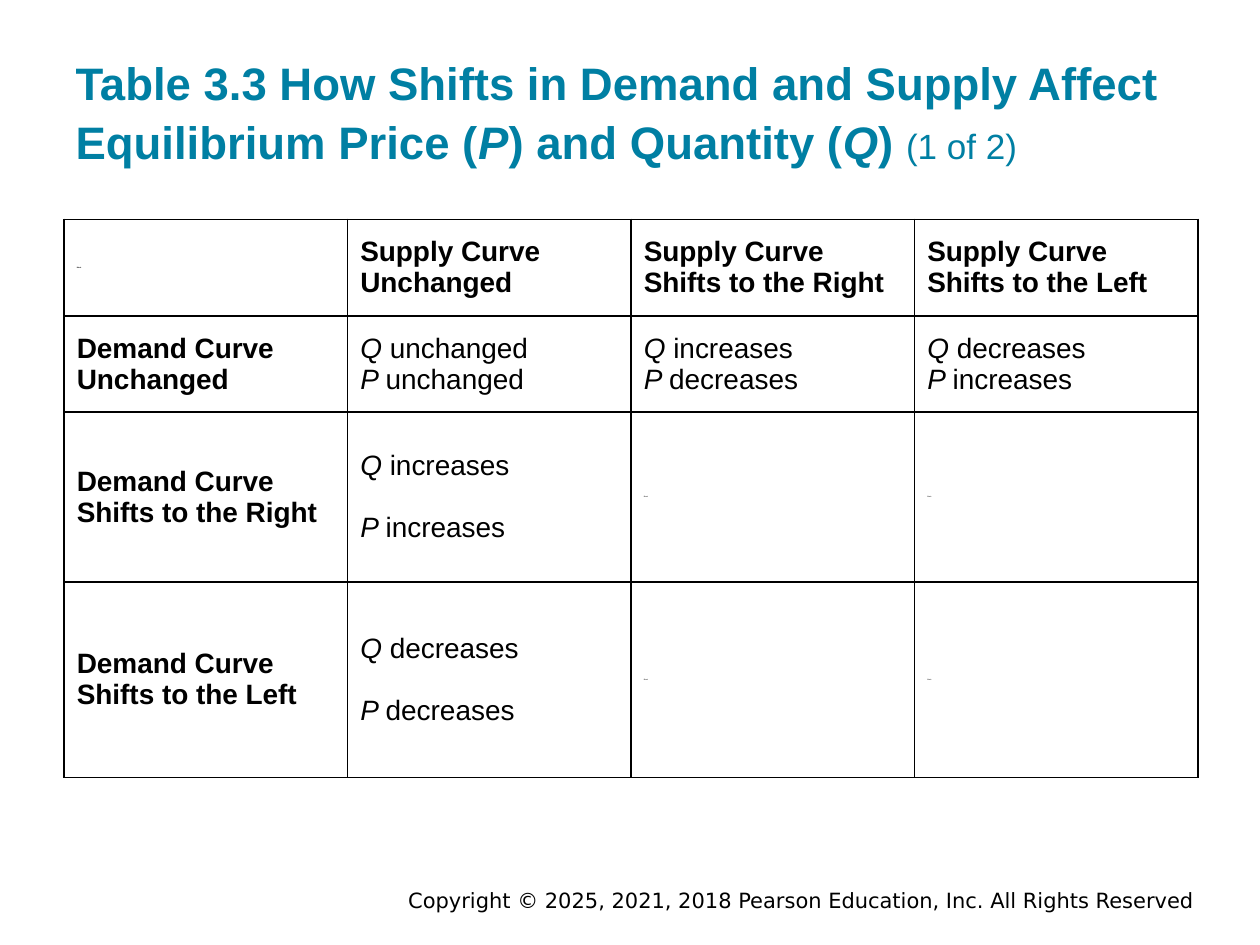
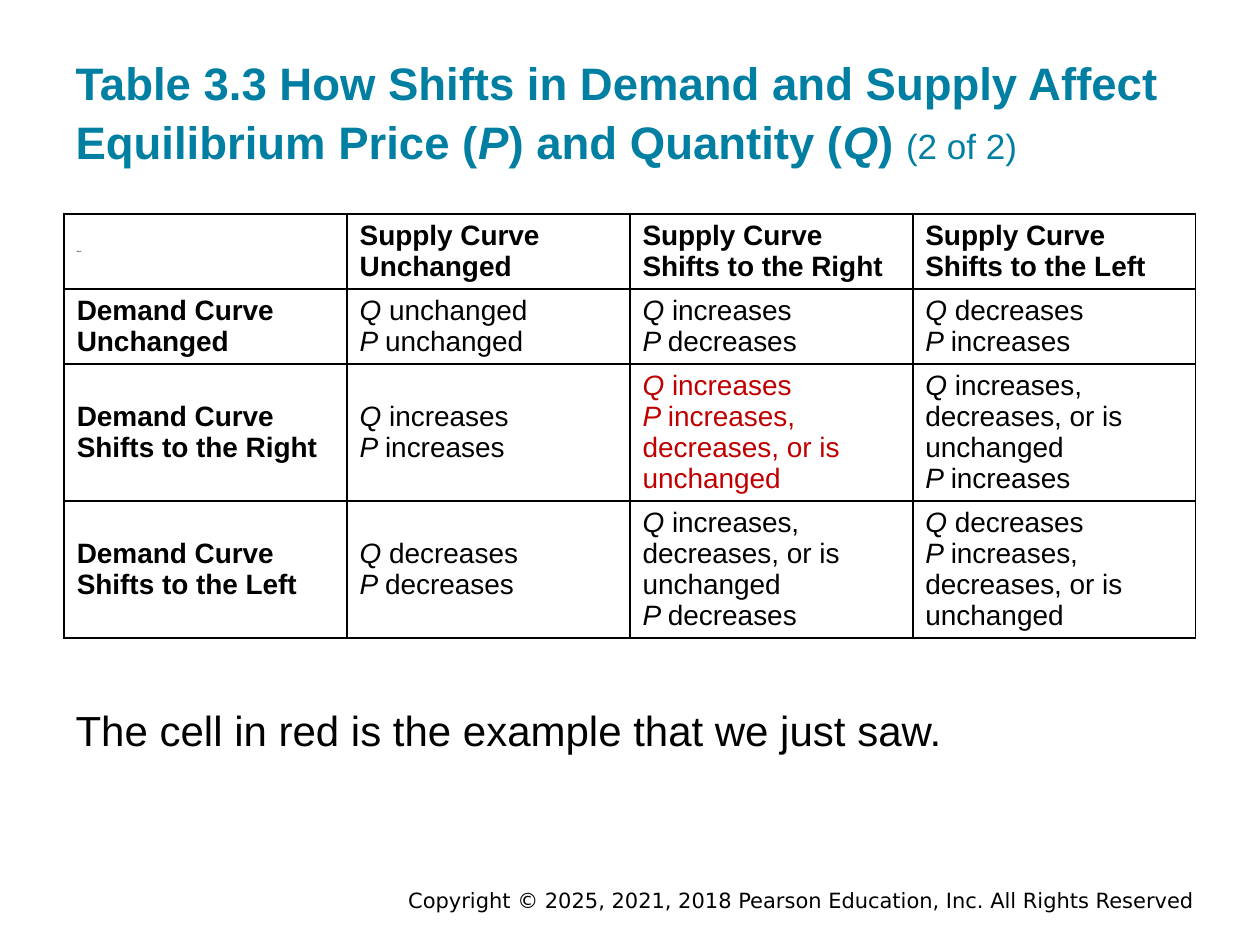
"""Build two slides on how shifts in demand and supply affect equilibrium."""
from lxml import etree
from pptx import Presentation
from pptx.dml.color import RGBColor
from pptx.enum import text
from pptx.oxml import ns
from pptx.util import Inches, Pt

TEAL, BLACK, RED, WHITE = "007FA3", "000000", "C00000", "FFFFFF"
FONT, FOOTER_FONT = "Arial", "DejaVu Sans"
TITLE = ("Table 3.3 How Shifts in Demand and Supply Affect "
         "Equilibrium Price (*P*) and Quantity (*Q*) ")
COPYRIGHT = "Copyright © 2025, 2021, 2018 Pearson Education, Inc. All Rights Reserved"
SHIFTS = ["Unchanged", "Shifts to the Right", "Shifts to the Left"]
BLANK = "Blank"
UNCERTAIN = "increases, decreases, or is unchanged"
LINE_SPACING = 1.08


def color(hex_string):
    """Turn a hex string into a colour."""
    return RGBColor.from_string(hex_string)


def style(font, size, hex_string, bold=False, italic=False, name=FONT):
    """Set every font property the slides use."""
    font.name, font.size, font.bold, font.italic = name, Pt(size), bold, italic
    font.color.rgb = color(hex_string)


def place(shape, left, top, width, height):
    """Move and size a shape, in inches."""
    shape.left, shape.top = Inches(left), Inches(top)
    shape.width, shape.height = Inches(width), Inches(height)


def prepare_frame(text_frame, anchor, margin):
    """Set wrapping, anchor and vertical margins of a text frame."""
    text_frame.word_wrap = True
    text_frame.auto_size = text.MSO_AUTO_SIZE.NONE
    text_frame.vertical_anchor = anchor
    text_frame.margin_left = text_frame.margin_right = Inches(0.1)
    text_frame.margin_top = text_frame.margin_bottom = Inches(margin)


def add_marked_runs(paragraph, marked_text, size, hex_string, bold=False):
    """Add runs, with the parts between asterisks in italics."""
    for index, part in enumerate(marked_text.split("*")):
        if part:
            run = paragraph.add_run()
            run.text = part
            style(run.font, size, hex_string, bold, italic=index % 2 == 1)


def set_title(slide, part):
    """Fill the title placeholder, ending with a lighter part number."""
    title = slide.shapes.title
    place(title, 0.5, 0.24, 9, 1.2)
    prepare_frame(title.text_frame, text.MSO_ANCHOR.BOTTOM, 0.1)
    paragraph = title.text_frame.paragraphs[0]
    paragraph.alignment = text.PP_ALIGN.LEFT
    paragraph.line_spacing = LINE_SPACING
    add_marked_runs(paragraph, TITLE, 26, TEAL, bold=True)
    add_marked_runs(paragraph, f"({part} of 2)", 20, TEAL)


def set_body(slide, sentence):
    """Put one unbulleted sentence in the body placeholder."""
    body = slide.placeholders[1]
    place(body, 0.5, 5.46, 9, 0.62)
    prepare_frame(body.text_frame, text.MSO_ANCHOR.TOP, 0.1)
    body.text_frame.text = sentence
    paragraph = body.text_frame.paragraphs[0]
    properties = paragraph._p.get_or_add_pPr()
    properties.set("marL", "0")
    properties.set("indent", "0")
    etree.SubElement(properties, ns.qn("a:buNone"))
    paragraph.space_before = Pt(0)
    paragraph.line_spacing = LINE_SPACING
    style(paragraph.runs[0].font, 24, BLACK)


def add_footer(slide):
    """Add the copyright line at the lower right."""
    footer = slide.shapes.add_textbox(Inches(1.75), Inches(7.03), Inches(7.83), Inches(0.22))
    prepare_frame(footer.text_frame, text.MSO_ANCHOR.MIDDLE, 0.05)
    footer.text_frame.text = COPYRIGHT
    paragraph = footer.text_frame.paragraphs[0]
    paragraph.alignment = text.PP_ALIGN.RIGHT
    style(paragraph.runs[0].font, 12, BLACK, name=FOOTER_FONT)


def outline_cell(cell):
    """Give a cell thin black borders and a white fill."""
    properties = cell._tc.get_or_add_tcPr()
    for side in ("lnL", "lnR", "lnT", "lnB"):
        line = etree.SubElement(properties, ns.qn(f"a:{side}"), w=str(Pt(1)))
        fill = etree.SubElement(line, ns.qn("a:solidFill"))
        etree.SubElement(fill, ns.qn("a:srgbClr"), val=BLACK)
    cell.fill.solid()
    cell.fill.fore_color.rgb = color(WHITE)


def fill_cell(cell, content, hex_string, bold, gap):
    """Write a heading, a blank mark, or a quantity and price pair."""
    outline_cell(cell)
    cell.vertical_anchor = text.MSO_ANCHOR.MIDDLE
    lines = [content] if isinstance(content, str) else [
        f"*{symbol} *{effect}" for symbol, effect in zip("QP", content)]
    for index, line in enumerate(lines):
        frame = cell.text_frame
        paragraph = frame.add_paragraph() if index else frame.paragraphs[0]
        if index and gap:
            paragraph.space_before = Pt(gap)
        add_marked_runs(paragraph, line, 1 if content == BLANK else 16, hex_string, bold)


def add_shift_table(slide, top, column_width, row_heights, effects, shift_gap=0, red_cell=None):
    """Add the grid of supply shifts across and demand shifts down."""
    rows = [[BLANK] + [f"Supply Curve {shift}" for shift in SHIFTS]]
    rows += [[f"Demand Curve {shift}"] + row for shift, row in zip(SHIFTS, effects)]
    table = slide.shapes.add_table(
        len(rows), len(rows[0]), Inches(0.51), Inches(top),
        Inches(column_width * len(rows[0])), Inches(sum(row_heights))).table
    table.first_row = table.horz_banding = False
    for column in table.columns:
        column.width = Inches(column_width)
    for row_index, (row, height) in enumerate(zip(rows, row_heights)):
        table.rows[row_index].height = Inches(height)
        for column_index, content in enumerate(row):
            fill_cell(table.cell(row_index, column_index), content,
                      RED if (row_index, column_index) == red_cell else BLACK,
                      bold=row_index == 0 or column_index == 0,
                      gap=shift_gap if row_index > 1 else 0)


def add_slide(presentation, layout_index, part):
    """Add a slide with the shared title and footer."""
    slide = presentation.slides.add_slide(presentation.slide_layouts[layout_index])
    set_title(slide, part)
    add_footer(slide)
    return slide


def main():
    """Build and save both slides."""
    presentation = Presentation()
    presentation.slide_width, presentation.slide_height = Inches(10), Inches(7.5)

    up, down = "increases", "decreases"
    demand_unchanged = [("unchanged", "unchanged"), (up, down), (down, up)]

    slide = add_slide(presentation, 5, 1)
    add_shift_table(slide, 1.74, 2.25, [0.77, 0.76, 1.35, 1.55], [
        demand_unchanged,
        [(up, up), BLANK, BLANK],
        [(down, down), BLANK, BLANK],
    ], shift_gap=18)

    slide = add_slide(presentation, 1, 2)
    add_shift_table(slide, 1.7, 2.245, [0.58, 0.53, 0.96, 0.96], [
        demand_unchanged,
        [(up, up), (up, UNCERTAIN), (UNCERTAIN, up)],
        [(down, down), (UNCERTAIN, down), (down, UNCERTAIN)],
    ], red_cell=(2, 2))
    set_body(slide, "The cell in red is the example that we just saw.")

    presentation.save("out.pptx")


if __name__ == "__main__":
    main()
